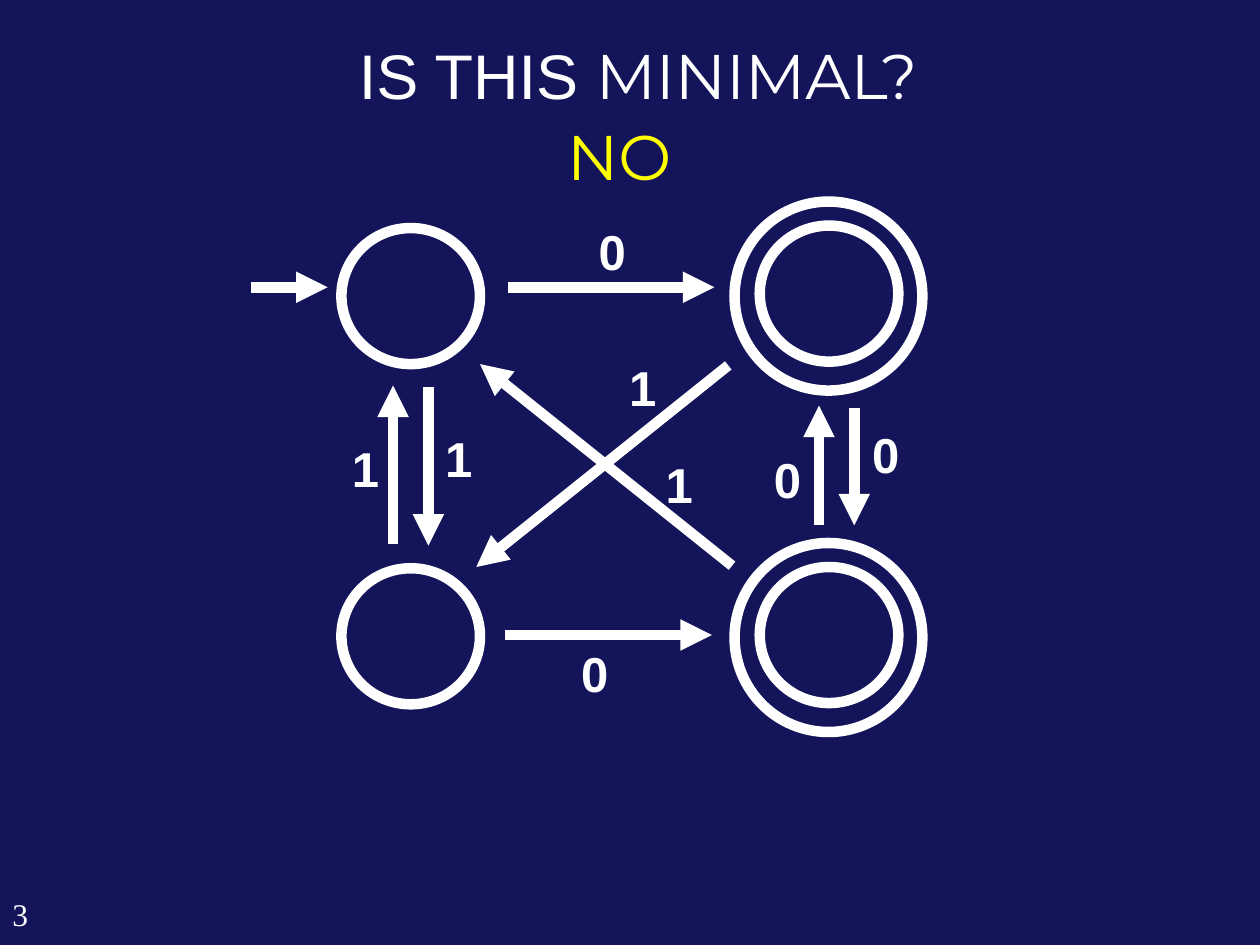
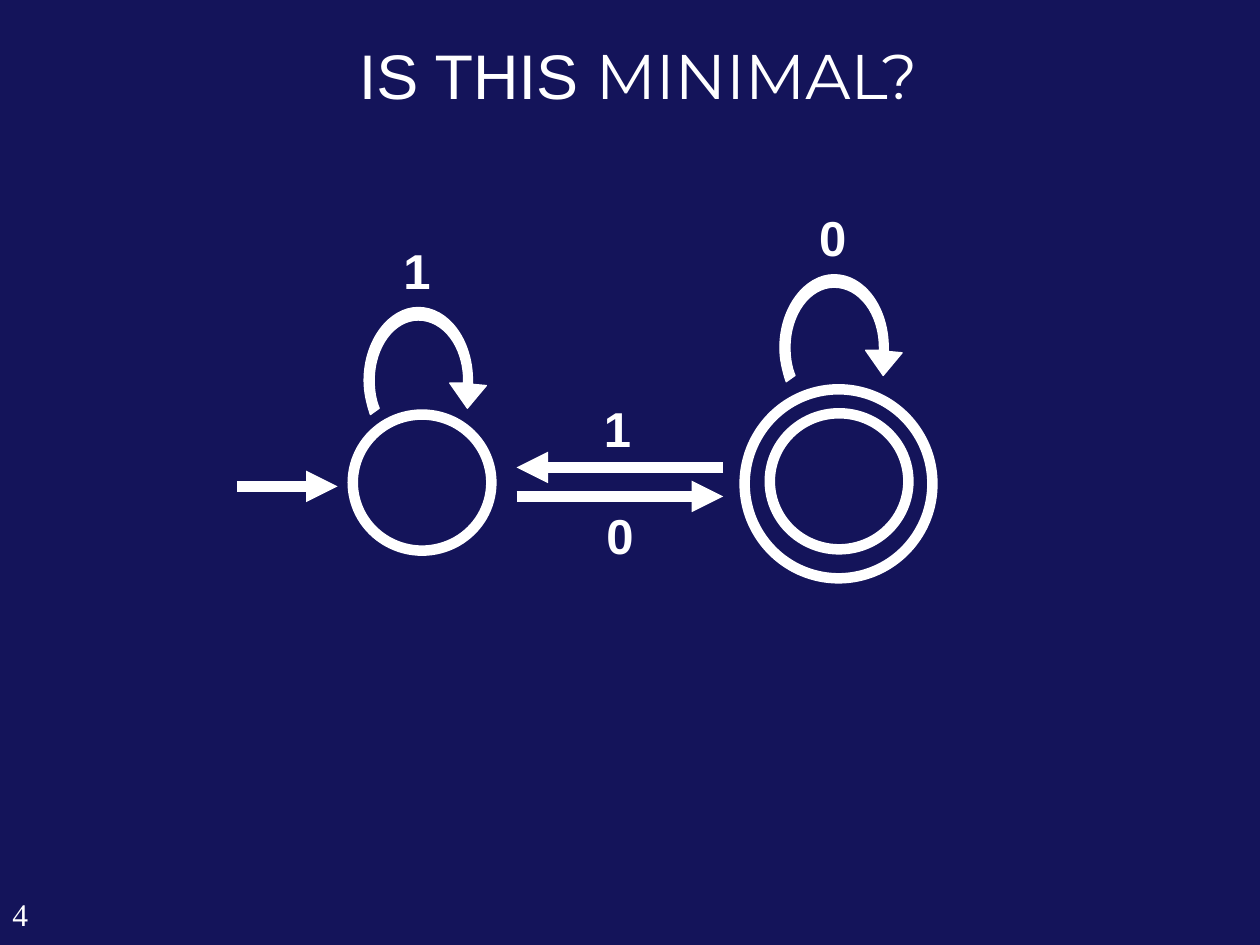
"""Build two slides that ask whether a finite automaton is minimal."""
from lxml import etree
from pptx import Presentation
from pptx import util as u
from pptx.dml.color import RGBColor
from pptx.enum import shapes, text
from pptx.oxml import ns

NAVY = RGBColor(0x14, 0x14, 0x5A)
WHITE = RGBColor(0xFF, 0xFF, 0xFF)
YELLOW = RGBColor(0xFF, 0xFF, 0x00)
STROKE = u.Pt(6)
INNER_SIZE = (1.1, 1.08)
OUTER_SIZE = (1.49, 1.5)
OUTER_OFFSET = (-0.2, -0.19)

SLIDES = [
    {
        "number": "3",
        "answer": "NO",
        "states": [(2.71, 1.81), (2.71, 4.51)],
        "accepting": [(6.03, 1.79), (6.03, 4.5)],
        "arrows": [
            (1.99, 2.28, 2.6, 2.28),
            (4.03, 2.28, 5.67, 2.28),
            (4.01, 5.04, 5.65, 5.04),
            (3.4, 3.07, 3.4, 4.33),
            (3.12, 4.32, 3.12, 3.06),
            (6.78, 3.24, 6.78, 4.17),
            (6.5, 4.17, 6.5, 3.22),
            (5.81, 4.49, 3.81, 2.89),
            (5.78, 2.9, 3.78, 4.5),
        ],
        "loops": [],
        "labels": [
            ("1", 3.43, 3.35), ("1", 2.69, 3.43), ("1", 4.89, 2.79), ("1", 5.18, 3.56),
            ("0", 4.51, 5.06), ("0", 4.65, 1.71), ("0", 6.82, 3.32), ("0", 6.04, 3.52),
        ],
    },
    {
        "number": "4",
        "answer": None,
        "states": [(2.8, 3.29)],
        "accepting": [(6.11, 3.28)],
        "arrows": [
            (1.88, 3.86, 2.68, 3.86),
            (4.1, 3.94, 5.74, 3.94),
            (5.74, 3.71, 4.1, 3.71),
        ],
        "loops": [(6.62, 2.76), (3.32, 3.02)],
        "labels": [("0", 4.71, 3.96), ("1", 4.69, 3.11), ("0", 6.4, 1.6), ("1", 3.1, 1.86)],
    },
]

LOOP_START = (0.36, 0.02)
LOOP_SEGMENTS = [
    [(0.36, 0.02), (0.36, 0.01), (0.36, 0)],
    [(0.36, -0.27), (0.2, -0.48), (0, -0.48)],
    [(-0.19, -0.48), (-0.35, -0.27), (-0.35, 0)],
    [(-0.35, 0.07), (-0.34, 0.15), (-0.31, 0.22)],
    [(-0.38, 0.27)],
    [(-0.41, 0.18), (-0.43, 0.09), (-0.43, 0)],
    [(-0.43, -0.32), (-0.23, -0.58), (0, -0.58)],
    [(0.24, -0.58), (0.43, -0.32), (0.43, 0)],
    [(0.43, 0.01), (0.43, 0.02), (0.43, 0.03)],
    [(0.54, 0.04)],
    [(0.39, 0.22)],
    [(0.25, 0.02)],
]


def write(box, words, size=28, font="Arial", color=WHITE, bold=False,
          align=text.PP_ALIGN.CENTER, wrap=False):
    """Append a formatted run to the first paragraph of a box."""
    frame = box.text_frame
    frame.word_wrap = wrap
    frame.auto_size = text.MSO_AUTO_SIZE.NONE if wrap else text.MSO_AUTO_SIZE.SHAPE_TO_FIT_TEXT
    frame.vertical_anchor = text.MSO_ANCHOR.TOP
    para = frame.paragraphs[0]
    para.alignment = align
    span = para.add_run()
    span.text = words
    span.font.size = u.Pt(size)
    span.font.name = font
    span.font.bold = bold
    span.font.color.rgb = color


def place(*lengths):
    """Turn numbers into lengths in inches."""
    return [u.Inches(length) for length in lengths]


deck = Presentation()
deck.slide_width, deck.slide_height = place(10, 7.5)
background = deck.slide_master.background.fill
background.solid()
background.fore_color.rgb = NAVY
title_only = deck.slide_layouts[5]

for content in SLIDES:
    page = deck.slides.add_slide(title_only)

    title = page.shapes.title
    title.left, title.top, title.width, title.height = place(2.63, 0.24, 4.87, 0.7)
    write(title, "IS THIS ", size=36)
    write(title, "MINIMAL?", size=36, font="Montserrat")

    number = page.shapes.add_textbox(*place(0, 7.05, 0.57, 0.45))
    write(number, content["number"], size=18, font="Times New Roman",
          align=text.PP_ALIGN.LEFT, wrap=True)

    circles = [(x, y, *INNER_SIZE) for x, y in content["states"] + content["accepting"]]
    circles += [(x + OUTER_OFFSET[0], y + OUTER_OFFSET[1], *OUTER_SIZE)
                for x, y in content["accepting"]]
    for circle in circles:
        state = page.shapes.add_shape(shapes.MSO_SHAPE.OVAL, *place(*circle))
        state.shadow.inherit = False
        state.fill.background()
        state.line.color.rgb = WHITE
        state.line.width = STROKE

    for ends in content["arrows"]:
        arrow = page.shapes.add_connector(shapes.MSO_CONNECTOR.STRAIGHT, *place(*ends))
        arrow.line.color.rgb = WHITE
        arrow.line.width = STROKE
        etree.SubElement(arrow.line._get_or_add_ln(), ns.qn("a:tailEnd"), type="triangle")
        etree.SubElement(arrow._element.spPr, ns.qn("a:effectLst"))

    for center_x, center_y in content["loops"]:
        start, *corners = [place(center_x + x, center_y + y)
                           for x, y in [LOOP_START] + [part[-1] for part in LOOP_SEGMENTS]]
        builder = page.shapes.build_freeform(*start)
        builder.add_line_segments(corners, close=True)
        loop = builder.convert_to_shape()
        edges = list(loop._element.iter(ns.qn("a:lnTo")))
        for edge, (*controls, _) in zip(edges, LOOP_SEGMENTS):
            if controls:
                edge.tag = ns.qn("a:cubicBezTo")
            for index, (x, y) in enumerate(controls):
                across, down = place(center_x + x, center_y + y)
                point = etree.Element(ns.qn("a:pt"), x=str(across - loop.left),
                                      y=str(down - loop.top))
                edge.insert(index, point)
        loop.shadow.inherit = False
        loop.fill.solid()
        loop.fill.fore_color.rgb = WHITE
        loop.line.color.rgb = WHITE
        loop.line.width = u.Pt(0.75)

    for symbol, x, y in content["labels"]:
        label = page.shapes.add_textbox(*place(x, y, 0.42, 0.57))
        write(label, symbol, bold=True)

    if content["answer"]:
        answer = page.shapes.add_textbox(*place(4.4, 0.88, 1.03, 0.7))
        write(answer, content["answer"], size=36, font="Montserrat", color=YELLOW)

deck.save("out.pptx")
